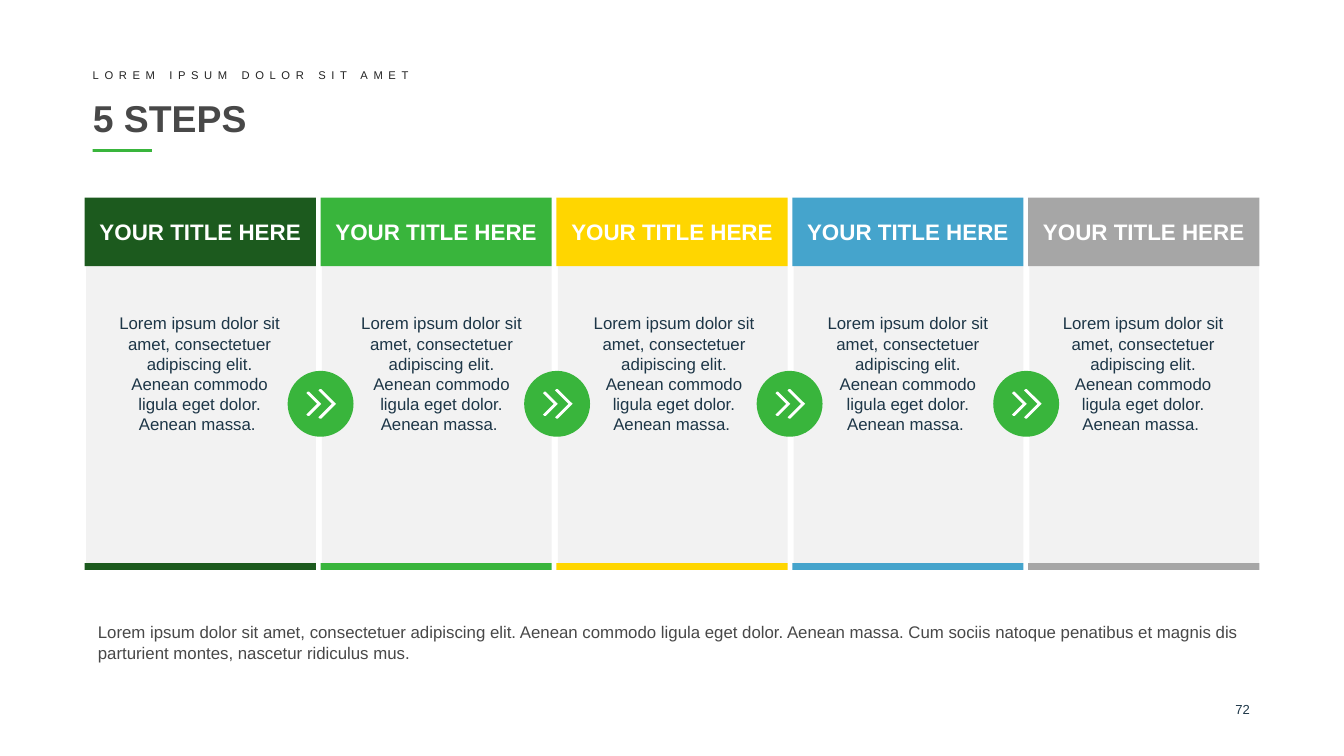
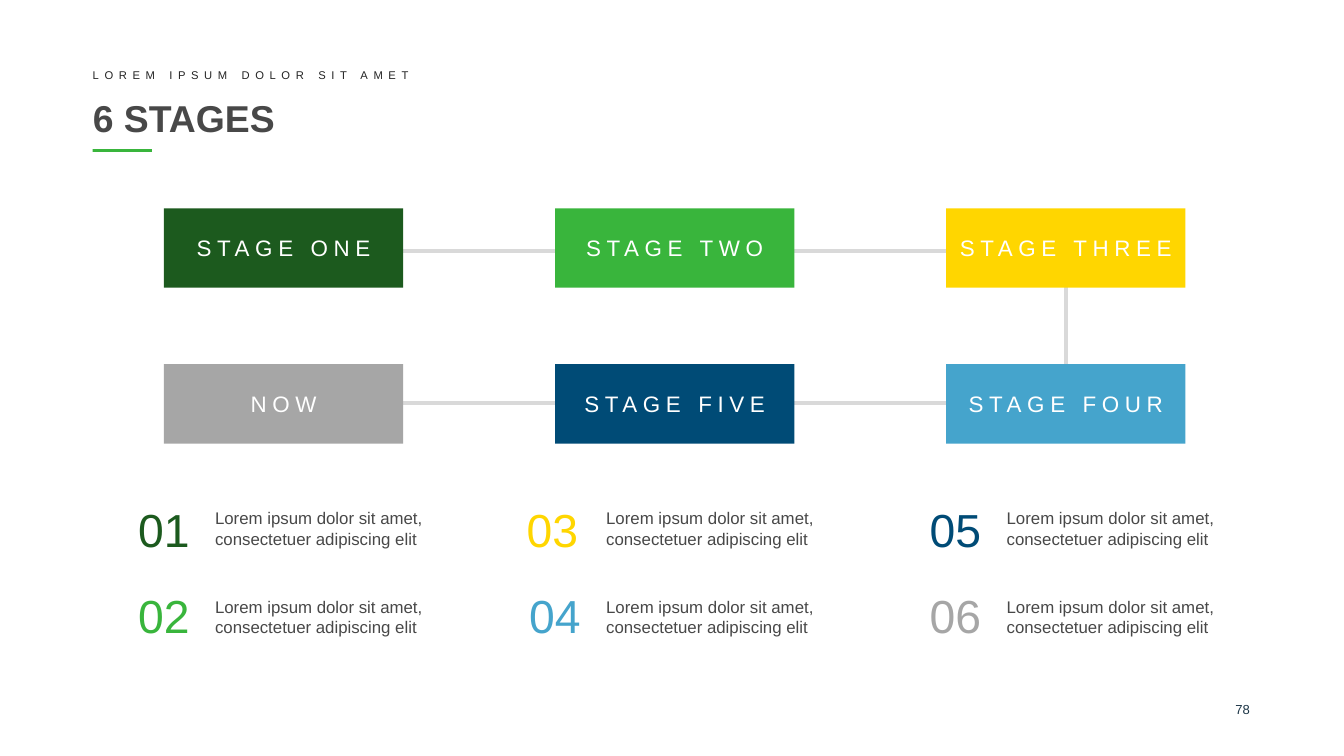
from dataclasses import dataclass

from pptx import Presentation
from pptx.dml.color import RGBColor
from pptx.enum.shapes import MSO_SHAPE as Shape
from pptx.enum.text import MSO_ANCHOR as Anchor, MSO_AUTO_SIZE as AutoSize, PP_ALIGN as Align
from pptx.util import Inches, Pt


@dataclass(frozen=True)
class Theme:
    font: str = "Arial"
    forest: str = "1C5A1E"
    green: str = "39B53C"
    yellow: str = "FFD600"
    sky: str = "45A4CC"
    navy: str = "004B76"
    gray: str = "A6A6A6"
    panel: str = "F2F2F2"
    rail: str = "D9D9D9"
    white: str = "FFFFFF"
    heading: str = "484848"
    body: str = "1D3647"
    eyebrow: str = "242424"
    eyebrow_size: float = 6
    page_size: float = 7
    body_size: float = 9
    label_size: float = 12
    title_size: float = 20
    number_size: float = 24.8
    tracking: float = 3


THEME = Theme()
DEFAULT_INSETS = (0.1, 0.05)
NOTE_INSETS = (0.07, 0.04)
NO_INSETS = (0, 0)

EYEBROW = "LOREM IPSUM DOLOR SIT AMET"
STEP_TITLE = "YOUR TITLE HERE"
STEP_TEXT = ("Lorem ipsum dolor sit amet, consectetuer adipiscing elit. "
             "Aenean commodo ligula eget dolor. Aenean massa. ")
SUMMARY = STEP_TEXT + ("Cum sociis natoque penatibus et magnis dis parturient montes, "
                       "nascetur ridiculus mus.")
NOTE = "Lorem ipsum dolor sit amet, consectetuer adipiscing elit"


def write(shape, text, size, color, align=Align.LEFT, anchor=Anchor.TOP,
          insets=NO_INSETS, bold=False, tracking=0):
    frame = shape.text_frame
    frame.text = text
    frame.word_wrap = True
    frame.vertical_anchor = anchor
    frame.margin_left = frame.margin_right = Inches(insets[0])
    frame.margin_top = frame.margin_bottom = Inches(insets[1])
    paragraph = frame.paragraphs[0]
    paragraph.alignment = align
    run = paragraph.runs[0]
    run.font.name = THEME.font
    run.font.size = Pt(size)
    run.font.bold = bold
    run.font.color.rgb = RGBColor.from_string(color)
    if tracking:
        run.font._element.set("spc", str(int(tracking * 100)))


def add_text(slide, box, text, size, color, grow=False, **style):
    text_box = slide.shapes.add_textbox(*map(Inches, box))
    write(text_box, text, size, color, **style)
    if grow:
        text_box.text_frame.auto_size = AutoSize.SHAPE_TO_FIT_TEXT


def paint(shape, color):
    shape.shadow.inherit = False
    shape.fill.solid()
    shape.fill.fore_color.rgb = RGBColor.from_string(color)
    shape.line.fill.background()


def add_block(shapes, kind, box, color):
    block = shapes.add_shape(kind, *map(Inches, box))
    paint(block, color)
    return block


def add_outline(shapes, contours, close=True):
    """Add one freeform made of several contours, given in inches."""
    builder = None
    for contour in contours:
        start, *rest = [(Inches(x), Inches(y)) for x, y in contour]
        if builder is None:
            builder = shapes.build_freeform(*start)
        else:
            builder.move_to(*start)
        builder.add_line_segments(rest, close=close)
    outline = builder.convert_to_shape()
    outline.shadow.inherit = False
    return outline


def add_frame(slide, title, page):
    """Add the eyebrow, title, accent bar and page number every slide has."""
    add_block(slide.shapes, Shape.RECTANGLE, (0.69, 1.11, 0.44, 0.02), THEME.green)
    add_text(slide, (8.87, 5.22, 0.43, 0.16), page, THEME.page_size, THEME.body,
             align=Align.RIGHT)
    add_text(slide, (0.69, 0.69, 8.62, 0.37), title, THEME.title_size, THEME.heading,
             anchor=Anchor.MIDDLE, bold=True)
    add_text(slide, (0.69, 0.51, 7.17, 0.1), EYEBROW, THEME.eyebrow_size, THEME.eyebrow,
             grow=True, anchor=Anchor.MIDDLE, tracking=THEME.tracking)


def add_step_column(slide, left, width, color):
    add_block(slide.shapes, Shape.RECTANGLE, (left + 0.01, 1.98, width - 0.01, 2.21),
              THEME.panel)
    header = add_block(slide.shapes, Shape.RECTANGLE, (left, 1.47, width, 0.51), color)
    write(header, STEP_TITLE, THEME.label_size, THEME.white, align=Align.CENTER,
          anchor=Anchor.MIDDLE, insets=DEFAULT_INSETS, bold=True)
    add_block(slide.shapes, Shape.RECTANGLE, (left, 4.19, width, 0.05), color)


def chevron_contour(tip, middle, arm):
    upper = [(tip - arm, middle - arm), (tip - arm - 0.01, middle - arm),
             (tip - arm - 0.02, middle - arm + 0.01)]
    lower = [(x, 2 * middle - y) for x, y in reversed(upper)]
    return [(tip, middle), *upper, (tip - 0.03, middle), *lower]


def add_next_badge(slide, left):
    """Add a round badge with a double chevron."""
    top, size = 2.76, 0.49
    badge = slide.shapes.add_group_shape()
    add_block(badge.shapes, Shape.OVAL, (left, top, size, size), THEME.green)
    middle = top + size / 2
    chevrons = add_outline(badge.shapes, [chevron_contour(left + 0.36, middle, 0.11),
                                          chevron_contour(left + 0.25, middle, 0.09)])
    paint(chevrons, THEME.white)


def add_rail(slide, points):
    rail = add_outline(slide.shapes, [points], close=False)
    rail.fill.background()
    rail.line.color.rgb = RGBColor.from_string(THEME.rail)
    rail.line.width = Pt(2.25)


def add_stage(slide, left, top, label, color):
    stage = add_block(slide.shapes, Shape.ROUNDED_RECTANGLE, (left, top, 1.78, 0.59), color)
    stage.adjustments[0] = 0
    write(stage, label, THEME.label_size, THEME.white, align=Align.CENTER,
          anchor=Anchor.MIDDLE, tracking=THEME.tracking)


def build_steps(slide):
    left, total, width = 0.63, 8.74, 1.72
    colors = (THEME.forest, THEME.green, THEME.yellow, THEME.sky, THEME.gray)
    pitch = (total - width) / (len(colors) - 1)
    for index, color in enumerate(colors):
        add_step_column(slide, left + index * pitch, width, color)
    add_text(slide, (left, 4.58, total, 0.4), SUMMARY, THEME.body_size, THEME.heading,
             grow=True, insets=DEFAULT_INSETS)
    for text_left in (0.77, 2.57, 4.3, 6.04, 7.79):
        add_text(slide, (text_left, 2.28, 1.43, 1.01), STEP_TEXT, THEME.body_size,
                 THEME.body, grow=True, align=Align.CENTER, insets=DEFAULT_INSETS)
    for badge_left in (2.14, 3.9, 5.63, 7.39):
        add_next_badge(slide, badge_left)
    add_frame(slide, "5 STEPS", "72")


def build_stages(slide):
    add_rail(slide, [(2.17, 1.87), (7.93, 1.87), (7.93, 3), (2.09, 3)])
    stage_rows = (
        (1.55, (("STAGE ONE", THEME.forest), ("STAGE TWO", THEME.green),
                ("STAGE THREE", THEME.yellow))),
        (2.71, (("NOW", THEME.gray), ("STAGE FIVE", THEME.navy),
                ("STAGE FOUR", THEME.sky))),
    )
    for top, stages in stage_rows:
        for column, (label, color) in enumerate(stages):
            add_stage(slide, 1.22 + column * 2.91, top, label, color)

    number_colors = (THEME.forest, THEME.green, THEME.yellow,
                     THEME.sky, THEME.navy, THEME.gray)
    number_lefts = (0.77, 0.77, 3.66, 3.68, 6.66, 6.66)
    note_lefts = (1.53, 4.44, 7.42)
    row_tops = ((3.52, 3.74), (4.16, 4.4))
    for index, (color, left) in enumerate(zip(number_colors, number_lefts)):
        column, row = divmod(index, 2)
        number_top, note_top = row_tops[row]
        add_text(slide, (left, number_top, 0.9, 0.83), f"{index + 1:02}",
                 THEME.number_size, color, align=Align.CENTER, anchor=Anchor.MIDDLE)
        add_text(slide, (note_lefts[column], note_top, 1.89, 0.38), NOTE, THEME.body_size,
                 THEME.heading, grow=True, insets=NOTE_INSETS)
    add_frame(slide, "6 STAGES", "78")


def main():
    deck = Presentation()
    deck.slide_width = Inches(10)
    deck.slide_height = deck.slide_width * 9 // 16
    blank = deck.slide_layouts[6]
    for build in (build_steps, build_stages):
        build(deck.slides.add_slide(blank))
    deck.save("out.pptx")


if __name__ == "__main__":
    main()
